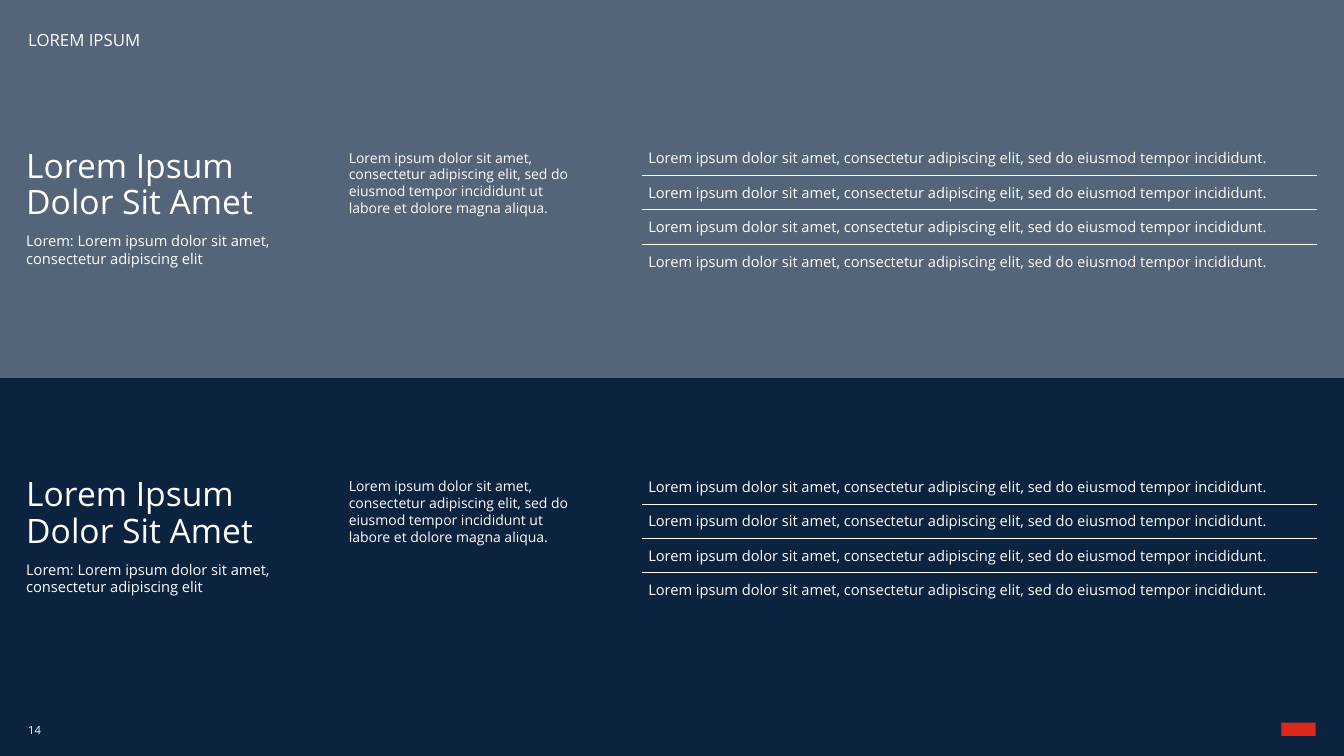
from lxml import etree
from pptx import Presentation
from pptx.dml.color import RGBColor
from pptx.enum.shapes import MSO_CONNECTOR, MSO_SHAPE
from pptx.enum.text import MSO_ANCHOR
from pptx.oxml.ns import qn
from pptx.util import Inches, Pt

RECTANGLE = MSO_SHAPE.RECTANGLE
STRAIGHT = MSO_CONNECTOR.STRAIGHT
TOP, MIDDLE = MSO_ANCHOR.TOP, MSO_ANCHOR.MIDDLE

THEME = {
    "font": "Open Sans",
    "navy": RGBColor.from_string("0C2340"),
    "slate": RGBColor.from_string("546579"),
    "white": RGBColor.from_string("FFFFFF"),
    "red": RGBColor.from_string("DA291C"),
    "title": 24, "header": 12, "body": 10.5, "summary": 10, "page": 8,
}

WIDTH, HEIGHT = 13.33, 7.5
MARGIN = 0.28
TITLE_X, SUMMARY_X, ROWS_X = 0.26, 3.46, 6.43
RULE_LEFT, RULE_RIGHT = 6.37, 13.06
BAND_TOPS = (1.48, 4.74)
ROW_COUNT, ROW_PITCH, FIRST_RULE = 4, 0.34, 0.26

TITLE = "Lorem Ipsum Dolor Sit Amet"
SUBTITLE = "Lorem: Lorem ipsum dolor sit amet, consectetur adipiscing elit"
ROW = ("Lorem ipsum dolor sit amet, consectetur adipiscing elit, "
       "sed do eiusmod tempor incididunt.")
SUMMARY = ("Lorem ipsum dolor sit amet, consectetur adipiscing elit, "
           "sed do eiusmod tempor incididunt ut labore et dolore magna aliqua.")

prs = Presentation()
prs.slide_width, prs.slide_height = Inches(WIDTH), Inches(HEIGHT)
slide = prs.slides.add_slide(prs.slide_layouts[6])
slide.background.fill.solid()
slide.background.fill.fore_color.rgb = THEME["navy"]


def add_block(left, top, width, height, color):
    block = slide.shapes.add_shape(
        RECTANGLE, Inches(left), Inches(top), Inches(width), Inches(height))
    block.shadow.inherit = False
    block.fill.solid()
    block.fill.fore_color.rgb = color
    block.line.fill.background()


def add_text(left, top, width, height, text, size,
             spacing=None, after=None, anchor=TOP):
    """Add white text without insets; each line of text is a paragraph."""
    frame = slide.shapes.add_textbox(
        Inches(left), Inches(top), Inches(width), Inches(height)).text_frame
    frame.word_wrap = True
    frame.vertical_anchor = anchor
    frame.margin_left = frame.margin_right = 0
    frame.margin_top = frame.margin_bottom = 0
    frame.text = text
    for paragraph in frame.paragraphs:
        paragraph.line_spacing = spacing
        paragraph.space_after = after
        for run in paragraph.runs:
            run.font.name = THEME["font"]
            run.font.size = Pt(THEME[size])
            run.font.color.rgb = THEME["white"]


add_block(0, 0, WIDTH, HEIGHT / 2, THEME["slate"])
add_text(MARGIN, 0.26, 2.23, 0.23, "LOREM IPSUM", "header", spacing=Pt(16.8))

for top in BAND_TOPS:
    add_text(TITLE_X, top, 2.75, 0.83, TITLE, "title", spacing=0.9)
    add_text(TITLE_X, top + 0.82, 2.44, 0.35, SUBTITLE, "body", after=Pt(12))
    add_text(SUMMARY_X, top, 2.19, 0.84, SUMMARY, "summary", after=Pt(12))
    add_text(ROWS_X, top, 6.61, 1.21, "\n".join([ROW] * ROW_COUNT), "body",
             after=Pt(12))
    for gap in range(ROW_COUNT - 1):
        y = Inches(top + FIRST_RULE + gap * ROW_PITCH)
        rule = slide.shapes.add_connector(
            STRAIGHT, Inches(RULE_LEFT), y, Inches(RULE_RIGHT), y)
        rule.line.color.rgb = THEME["white"]
        rule.line.width = Pt(0.5)
        etree.SubElement(rule._element.spPr, qn("a:effectLst"))

add_text(MARGIN, 7.13, 0.54, 0.22, "14", "page", anchor=MIDDLE)
add_block(12.71, 7.17, 0.34, 0.13, THEME["red"])

prs.save("out.pptx")
